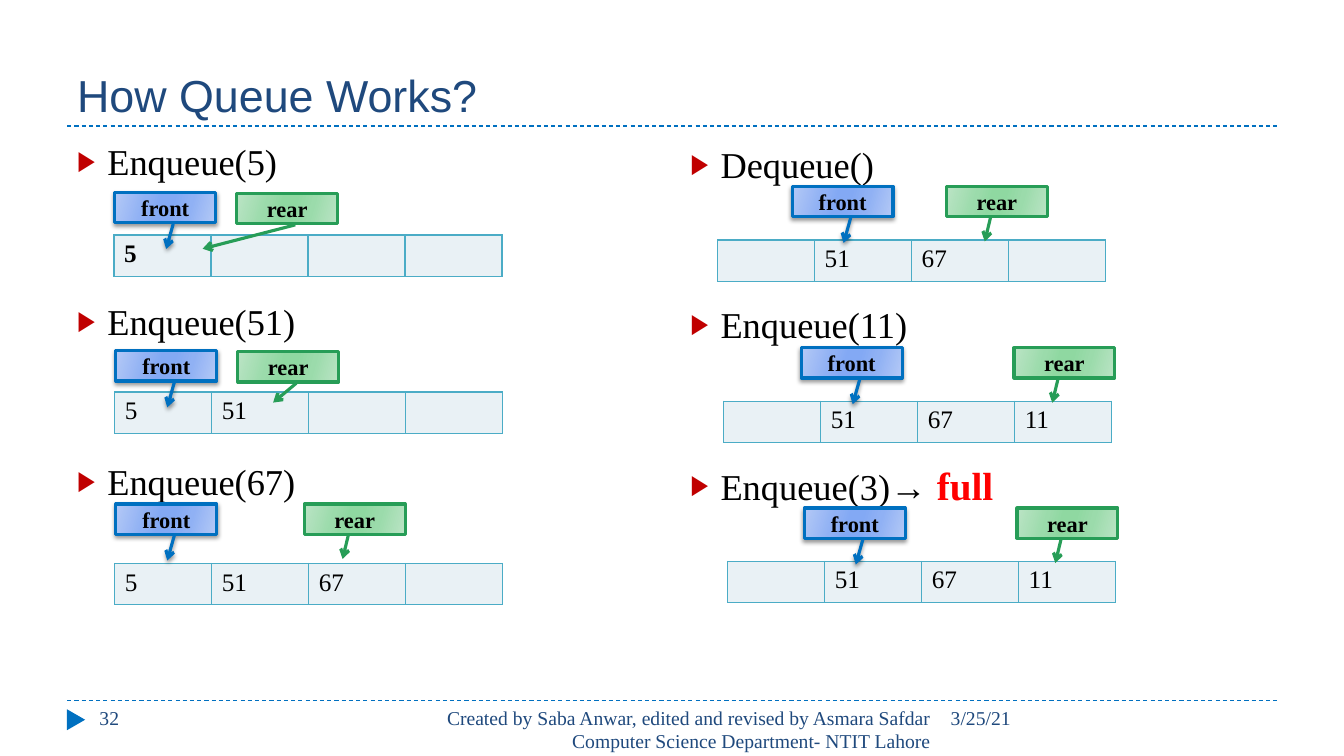
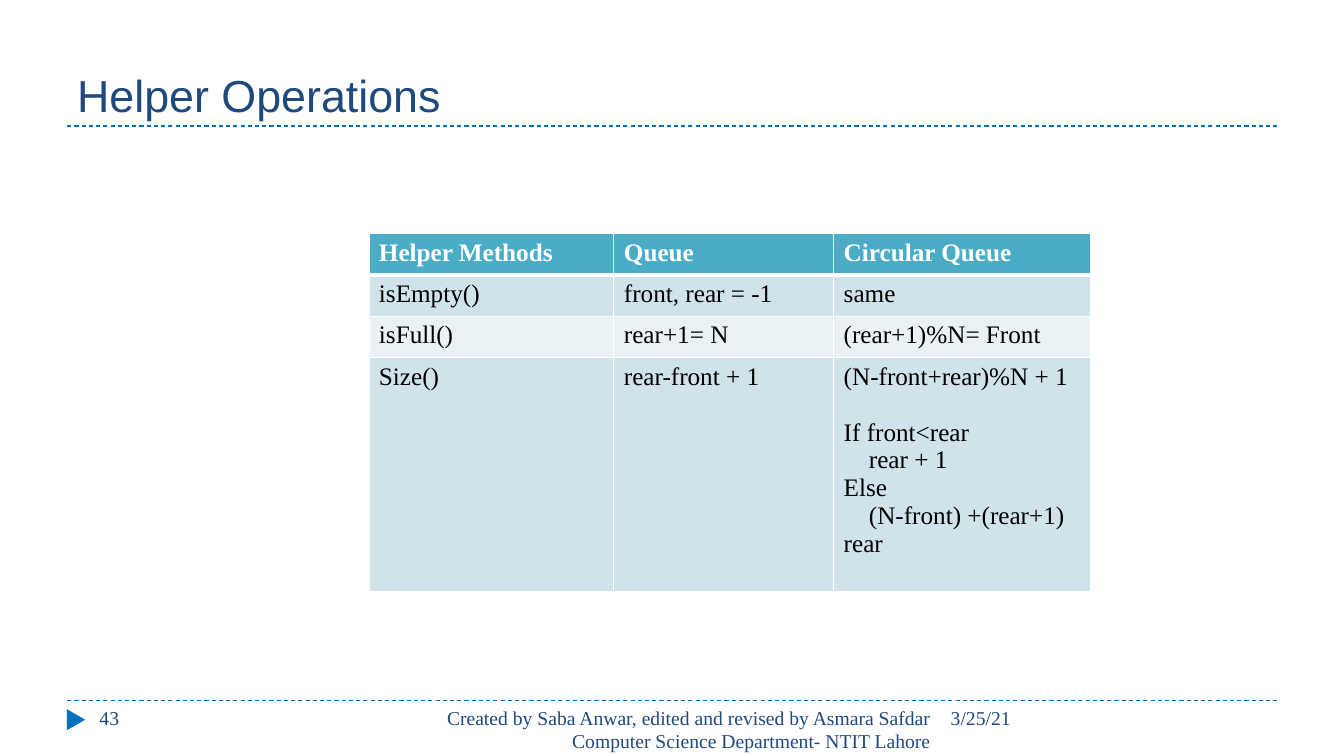
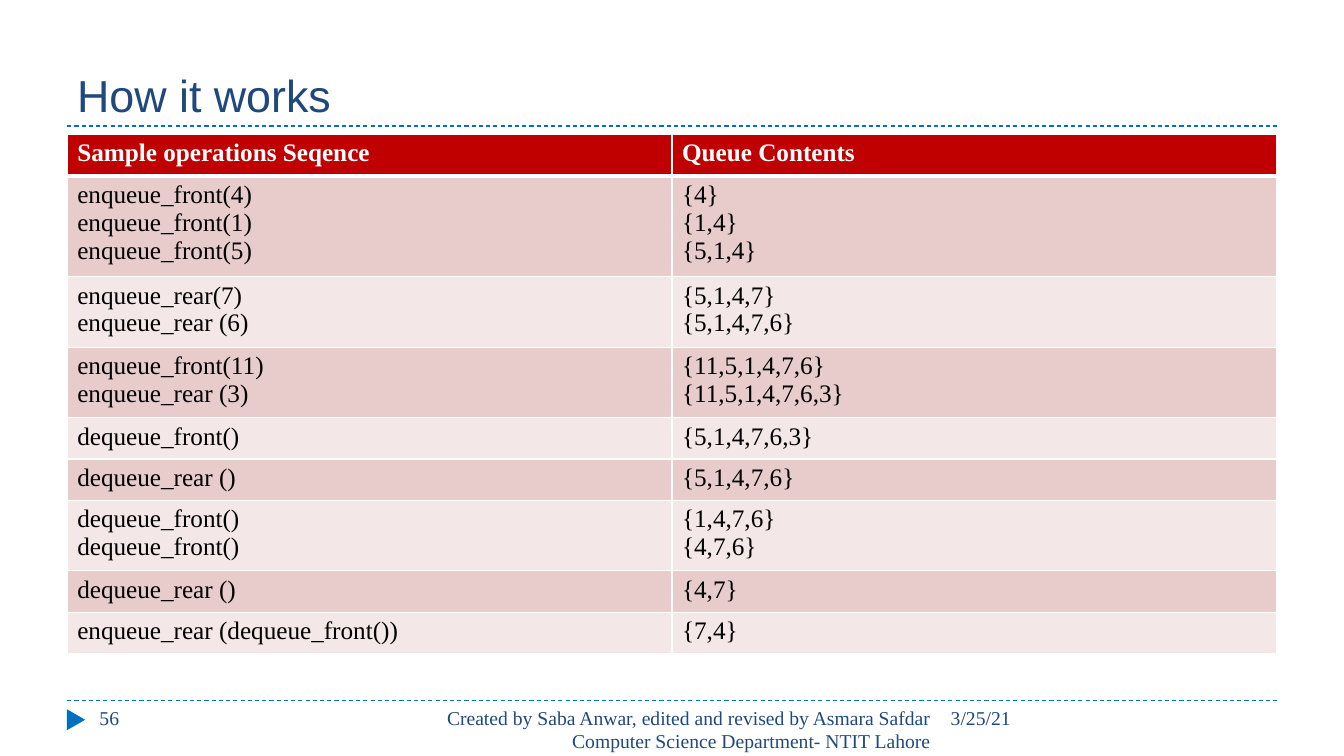
from lxml.etree import SubElement
from pptx import Presentation
from pptx.dml.color import RGBColor
from pptx.enum.dml import MSO_LINE
from pptx.enum.shapes import MSO_CONNECTOR, MSO_SHAPE
from pptx.enum.text import MSO_ANCHOR, PP_ALIGN
from pptx.oxml.ns import qn
from pptx.util import Pt

BLACK = RGBColor(0x00, 0x00, 0x00)
WHITE = RGBColor(0xFF, 0xFF, 0xFF)
NAVY = RGBColor(0x1F, 0x49, 0x7D)
BLUE = RGBColor(0x00, 0x70, 0xC0)
GREEN = RGBColor(0x27, 0x9D, 0x57)
DARK_RED = RGBColor(0xC0, 0x00, 0x00)
RED = RGBColor(0xFF, 0x00, 0x00)
TEAL = RGBColor(0x4B, 0xAC, 0xC6)
TEAL_BANDS = RGBColor(0xD0, 0xE3, 0xEA), RGBColor(0xE9, 0xF1, 0xF5)
RED_BANDS = RGBColor(0xE8, 0xCC, 0xCC), RGBColor(0xF4, 0xE7, 0xE7)
BLUE_GLOSS = (RGBColor(0xB4, 0xC9, 0xF6), RGBColor(0x90, 0xB1, 0xF4),
              RGBColor(0x83, 0xA9, 0xF4))
GREEN_GLOSS = (RGBColor(0xBB, 0xE4, 0xC5), RGBColor(0x9B, 0xDB, 0xAB),
               RGBColor(0x8F, 0xD8, 0xA1))

SERIF = "Times New Roman"
TITLE = {"name": "Arial", "size": Pt(32), "color": NAVY}
FOOTER = {"name": SERIF, "size": Pt(14), "color": NAVY}
STEP = {"name": SERIF, "size": Pt(26), "color": BLACK}
FULL = {"name": SERIF, "size": Pt(28), "color": RED, "bold": True}
LABEL = {"name": SERIF, "size": Pt(16), "color": BLACK, "bold": True}
BODY = {"name": SERIF, "size": Pt(18), "color": BLACK, "bold": False}
STRONG = {**BODY, "bold": True}
HEADER = {**STRONG, "color": WHITE}

LINE_HEIGHT, CELL_PADDING, MIN_ROW = 20, 7.2, 29.5
SLOT_WIDTH = 69.3
STEP_GAP = 83

FRONT_ARROW = (1.04, 0.58, 1.87, 0.51)
REAR_ARROW = (0.99, 0.44, 1.82, 0.38)
FAR_REAR_ARROW = (1.04, 0.58, 1.83, -0.34)
NEAR_REAR_ARROW = (1.04, 0.58, 1.68, 0.35)


def child(parent, tag, **attributes):
    return SubElement(parent, qn(tag), {k: str(v) for k, v in attributes.items()})


class Deck:
    def __init__(self):
        self.presentation = Presentation()
        self.presentation.slide_width = Pt(960)
        self.presentation.slide_height = Pt(540)
        self.slide = None

    def start_slide(self, title, number):
        self.slide = self.presentation.slides.add_slide(
            self.presentation.slide_layouts[6])
        self.rule(500.4)
        self.rule(90)
        marker = self.slide.shapes.add_shape(
            MSO_SHAPE.ISOSCELES_TRIANGLE, Pt(46.8), Pt(507.6), Pt(15), Pt(13))
        marker.rotation = 90
        marker.shadow.inherit = False
        marker.fill.solid()
        marker.fill.fore_color.rgb = BLUE
        marker.line.fill.background()
        self.text(48, 12, 864, 78, [title], TITLE, anchor=MSO_ANCHOR.BOTTOM)
        self.text(672, 500.4, 240, 29, ["3/25/21"], FOOTER)
        self.text(304.4, 500.4, 367.6, 29,
                  ["Created by Saba Anwar, edited and revised by Asmara Safdar "
                   "Computer Science Department- NTIT Lahore"],
                  FOOTER, align=PP_ALIGN.RIGHT)
        self.text(64, 500.4, 208, 29, [str(number)], FOOTER)

    def run(self, paragraph, wording, style):
        run = paragraph.add_run()
        run.text = wording
        for attribute, value in style.items():
            if attribute == "color":
                run.font.color.rgb = value
            else:
                setattr(run.font, attribute, value)

    def add_lines(self, frame, lines, style, align=PP_ALIGN.LEFT):
        for index, line in enumerate(lines):
            paragraph = frame.add_paragraph() if index else frame.paragraphs[0]
            paragraph.alignment = align
            self.run(paragraph, line, style)

    def text(self, left, top, width, height, lines, style,
             align=PP_ALIGN.LEFT, anchor=MSO_ANCHOR.TOP):
        frame = self.slide.shapes.add_textbox(
            Pt(left), Pt(top), Pt(width), Pt(height)).text_frame
        frame.word_wrap = True
        frame.vertical_anchor = anchor
        self.add_lines(frame, lines, style, align)
        return frame

    def rule(self, y):
        line = self.slide.shapes.add_connector(
            MSO_CONNECTOR.STRAIGHT, Pt(48), Pt(y), Pt(912), Pt(y))
        line.line.color.rgb = BLUE
        line.line.width = Pt(0.75)
        line.line.dash_style = MSO_LINE.DASH
        child(line._element.spPr, "a:effectLst")

    def steps(self, left, top, operations):
        frame = self.text(left, top, 426, 389, operations, STEP)
        for index, paragraph in enumerate(frame.paragraphs):
            paragraph.space_before = Pt(STEP_GAP if index else 6)
            properties = paragraph._p.get_or_add_pPr()
            properties.set("marL", str(Pt(21.6)))
            properties.set("indent", str(-Pt(21.6)))
            child(child(properties, "a:buClr"), "a:srgbClr", val=DARK_RED)
            child(properties, "a:buSzPct", val=76000)
            child(properties, "a:buFont", typeface="Arial")
            child(properties, "a:buChar", char="▶")
        return frame

    def pointer(self, name, left, top, arrow, color, gloss, shadow=False):
        label = self.slide.shapes.add_shape(
            MSO_SHAPE.LINE_CALLOUT_1, Pt(left), Pt(top), Pt(72), Pt(21.6))
        for index, value in enumerate(arrow):
            label.adjustments[index] = value
        label.fill.gradient()
        label.fill.gradient_angle = 344
        properties = label._element.spPr
        stops = properties.find(qn("a:gradFill")).find(qn("a:gsLst"))
        stops.clear()
        edge, middle, centre = gloss
        for position, shade in zip((0, 30, 45, 55, 73, 100),
                                   (edge, middle, centre, centre, middle, edge)):
            stop = child(stops, "a:gs", pos=position * 1000)
            child(stop, "a:srgbClr", val=shade)
        label.line.color.rgb = color
        label.line.width = Pt(2.25)
        child(properties.find(qn("a:ln")), "a:tailEnd", type="arrow")
        label.shadow.inherit = False
        if shadow:
            outer = child(properties.find(qn("a:effectLst")), "a:outerShdw",
                          blurRad=Pt(3), dist=Pt(2), dir=5400000, rotWithShape=0)
            child(child(outer, "a:srgbClr", val=BLACK), "a:alpha", val=40000)
        frame = label.text_frame
        frame.vertical_anchor = MSO_ANCHOR.MIDDLE
        self.add_lines(frame, [name], LABEL, PP_ALIGN.CENTER)

    def borders(self, cell, color, top=1, bottom=1):
        properties = cell._tc.get_or_add_tcPr()
        sides = (("a:lnL", 1), ("a:lnR", 1), ("a:lnT", top), ("a:lnB", bottom))
        for index, (side, width) in enumerate(sides):
            line = child(properties, side, w=Pt(width))
            child(child(line, "a:solidFill"), "a:srgbClr", val=color)
            properties.insert(index, line)

    def table(self, left, top, widths, rows, bands, border, header=None, style=BODY):
        heights = [max(MIN_ROW, CELL_PADDING + LINE_HEIGHT * max(
            len(entry.split("\n")) for entry in row)) for row in rows]
        grid = self.slide.shapes.add_table(
            len(rows), len(widths), Pt(left), Pt(top),
            Pt(sum(widths)), Pt(sum(heights))).table
        grid.first_row = header is not None
        grid.horz_banding = False
        for column, width in zip(grid.columns, widths):
            column.width = Pt(width)
        for index, (row, height) in enumerate(zip(rows, heights)):
            grid.rows[index].height = Pt(height)
            is_header = header is not None and index == 0
            for column, entry in enumerate(row):
                cell = grid.cell(index, column)
                cell.fill.solid()
                cell.fill.fore_color.rgb = (
                    header if is_header else bands[(index + 1) % len(bands)])
                self.borders(cell, border,
                             top=3 if header is not None and index == 1 else 1,
                             bottom=3 if is_header else 1)
                if entry:
                    self.add_lines(cell.text_frame, entry.split("\n"),
                                   HEADER if is_header else style)
        return grid

    def queue(self, place, items, front, rear, rear_arrow=REAR_ARROW, style=BODY):
        self.table(*place, [SLOT_WIDTH] * 4, [items], TEAL_BANDS[1:], TEAL,
                   style=style)
        self.pointer("front", *front, FRONT_ARROW, BLUE, BLUE_GLOSS, shadow=True)
        self.pointer("rear", *rear, rear_arrow, GREEN, GREEN_GLOSS)


def queue_slide(deck):
    deck.start_slide("How Queue Works?", 32)
    deck.steps(48, 95.8, ["Enqueue(5)", "Enqueue(51)", "Enqueue(67)"])
    right_steps = deck.steps(486, 97.9, ["Dequeue()", "Enqueue(11)", "Enqueue(3)→"])
    deck.run(right_steps.paragraphs[-1], " full", FULL)
    deck.queue((81.5, 167.8), ["5", "", "", ""], (82, 137.5), (169.2, 138.2),
               FAR_REAR_ARROW, STRONG)
    deck.queue((82, 280), ["5", "51", "", ""], (82.8, 250.6), (169.9, 251.3),
               NEAR_REAR_ARROW)
    deck.queue((82, 402.5), ["5", "51", "67", ""], (82.8, 360), (217.4, 360))
    deck.queue((512.6, 171.4), ["", "51", "67", ""], (565.9, 133.2), (676.1, 133.2))
    deck.queue((517, 286.6), ["", "51", "67", "11"], (572.4, 248.4), (724.3, 248.4))
    deck.queue((519.8, 401), ["", "51", "67", "11"], (574.6, 362.9), (726.5, 362.9))


def helper_slide(deck):
    deck.start_slide("Helper Operations", 43)
    helpers = deck.table(263.5, 167, [175, 157, 183.6], [
        ["Helper Methods", "Queue", "Circular Queue"],
        ["isEmpty()", "front, rear = -1", "same"],
        ["isFull()", "rear+1= N", "(rear+1)%N= Front"],
        ["Size()", "rear-front + 1",
         "(N-front+rear)%N + 1\nIf front<rear\nrear + 1\nElse\n"
         "(N-front) +(rear+1)\nrear"],
    ], TEAL_BANDS, WHITE, TEAL)
    helpers.rows[3].height = Pt(CELL_PADDING + 8 * LINE_HEIGHT)
    size_rule = helpers.cell(3, 2).text_frame.paragraphs
    size_rule[1].space_before = Pt(LINE_HEIGHT)
    for branch in (size_rule[2], size_rule[4]):
        branch._p.get_or_add_pPr().set("marL", str(Pt(18)))


def sequence_slide(deck):
    deck.start_slide("How it works", 56)
    deck.table(48, 96, [432, 432], [
        ["Sample operations Seqence", "Queue Contents"],
        ["enqueue_front(4)\nenqueue_front(1)\nenqueue_front(5)",
         "{4}\n{1,4}\n{5,1,4}"],
        ["enqueue_rear(7)\nenqueue_rear (6)", "{5,1,4,7}\n{5,1,4,7,6}"],
        ["enqueue_front(11)\nenqueue_rear (3)",
         "{11,5,1,4,7,6}\n{11,5,1,4,7,6,3}"],
        ["dequeue_front()", "{5,1,4,7,6,3}"],
        ["dequeue_rear ()", "{5,1,4,7,6}"],
        ["dequeue_front()\ndequeue_front()", "{1,4,7,6}\n{4,7,6}"],
        ["dequeue_rear ()", "{4,7}"],
        ["enqueue_rear (dequeue_front())", "{7,4}"],
    ], RED_BANDS, WHITE, DARK_RED)


def main():
    deck = Deck()
    queue_slide(deck)
    helper_slide(deck)
    sequence_slide(deck)
    deck.presentation.save("out.pptx")


if __name__ == "__main__":
    main()
